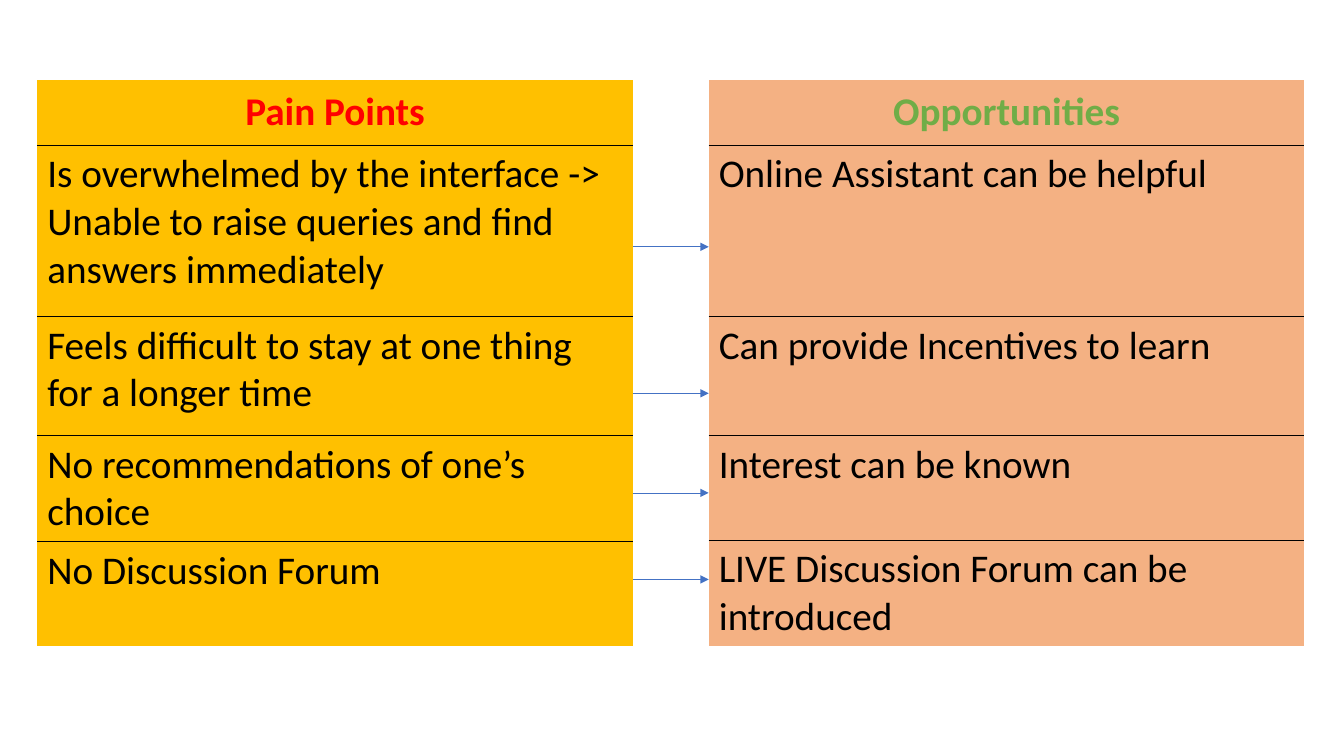
from lxml.etree import SubElement
from pptx import Presentation
from pptx.dml.color import RGBColor
from pptx.enum.shapes import MSO_CONNECTOR
from pptx.enum.text import MSO_ANCHOR, PP_ALIGN
from pptx.oxml.ns import qn
from pptx.util import Cm, Pt

TOP = 2.01
WIDTH = 15.01
LEFT = 0.94
RIGHT = 17.86
ROWS = [1.65, 4.32, 3, 2.64, 2.64]
ARROWS = [6.22, 9.91, 12.42, 14.6]
PAINS = [
    "Pain Points",
    "Is overwhelmed by the interface -> Unable to raise queries and find answers immediately",
    "Feels difficult to stay at one thing for a longer time",
    "No recommendations of one’s choice",
    "No Discussion Forum",
]
CHANCES = [
    "Opportunities",
    "Online Assistant can be helpful",
    "Can provide Incentives to learn",
    "Interest can be known",
    "LIVE Discussion Forum can be introduced",
]


def color(code):
    return RGBColor.from_string(code)


def add_edge(cell, side, shown):
    edge = SubElement(cell._tc.get_or_add_tcPr(), qn(f"a:ln{side}"), w=str(Pt(1)))
    if shown:
        fill = SubElement(edge, qn("a:solidFill"))
        SubElement(fill, qn("a:srgbClr"), val="000000")
    else:
        SubElement(edge, qn("a:noFill"))


def fill_cell(cell, text, back, ink, head, last):
    for side, shown in (("L", False), ("R", False), ("T", not head), ("B", not last)):
        add_edge(cell, side, shown)
    cell.fill.solid()
    cell.fill.fore_color.rgb = color(back)
    cell.vertical_anchor = MSO_ANCHOR.MIDDLE if head else MSO_ANCHOR.TOP
    para = cell.text_frame.paragraphs[0]
    para.alignment = PP_ALIGN.CENTER if head else PP_ALIGN.LEFT
    run = para.add_run()
    run.text = text
    run.font.name = "Calibri"
    run.font.size = Pt(28)
    run.font.bold = head
    run.font.color.rgb = color(ink)


def add_list(slide, left, texts, back, accent):
    frame = slide.shapes.add_table(
        len(texts), 1, Cm(left), Cm(TOP), Cm(WIDTH), Cm(sum(ROWS)))
    table = frame.table
    table.horz_banding = False
    for i, (text, height) in enumerate(zip(texts, ROWS)):
        head = i == 0
        table.rows[i].height = Cm(height)
        ink = accent if head else "000000"
        fill_cell(table.cell(i, 0), text, back, ink, head, i == len(texts) - 1)


def add_arrow(slide, y):
    arrow = slide.shapes.add_connector(
        MSO_CONNECTOR.STRAIGHT, Cm(LEFT + WIDTH), Cm(y), Cm(RIGHT), Cm(y))
    arrow.line.color.rgb = color("4472C4")
    arrow.line.width = Pt(0.5)
    SubElement(arrow.line._get_or_add_ln(), qn("a:tailEnd"), type="triangle")
    SubElement(arrow._element.spPr, qn("a:effectLst"))


def main():
    deck = Presentation()
    deck.slide_width = Cm(33.87)
    deck.slide_height = Cm(19.05)
    slide = deck.slides.add_slide(deck.slide_layouts[6])
    add_list(slide, LEFT, PAINS, "FFC000", "FF0000")
    add_list(slide, RIGHT, CHANCES, "F4B183", "70AD47")
    for y in ARROWS:
        add_arrow(slide, y)
    deck.save("out.pptx")


if __name__ == "__main__":
    main()
